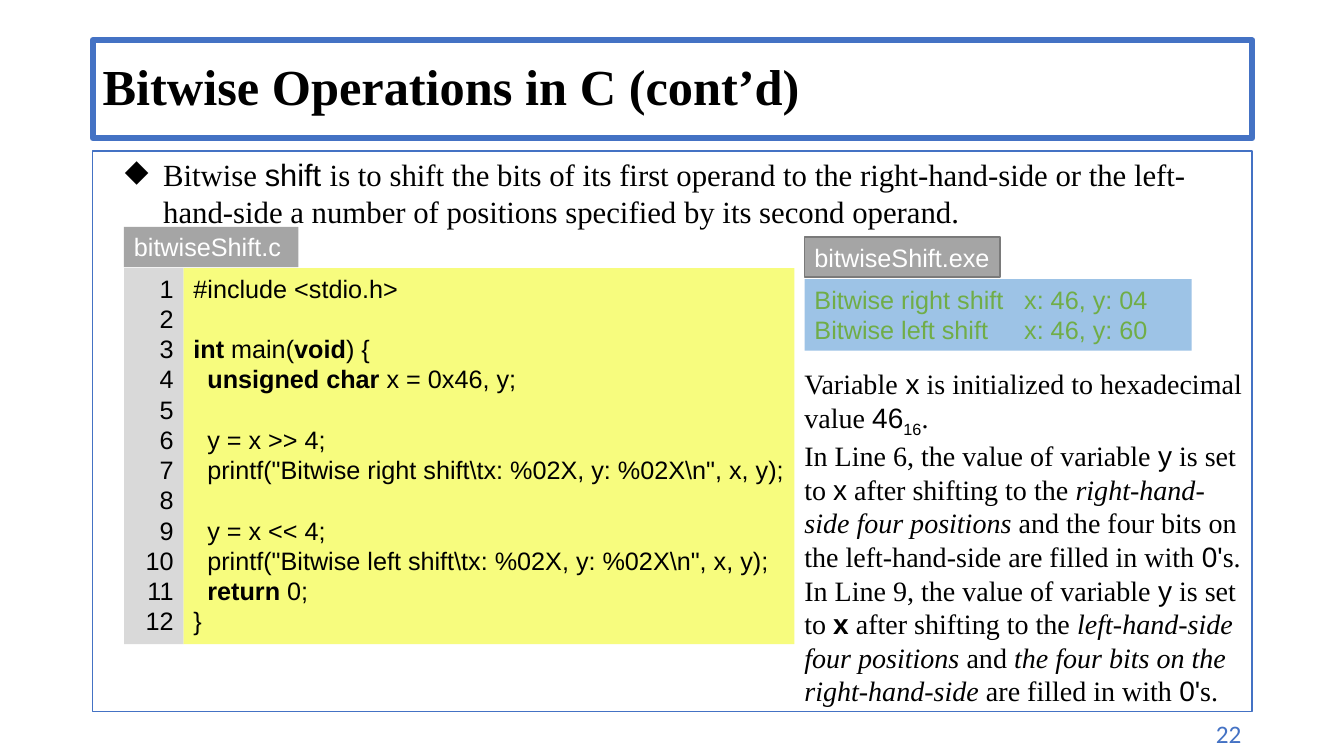
from lxml.etree import SubElement
from pptx import Presentation
from pptx.dml.color import RGBColor
from pptx.enum.shapes import MSO_SHAPE
from pptx.enum.text import MSO_ANCHOR, PP_ALIGN
from pptx.oxml.ns import qn
from pptx.util import Inches, Pt

SERIF, SANS = "Times New Roman", "Arial"
COLORS = {
    "black": "000000", "white": "FFFFFF", "blue": "4472C4", "sky": "9DC3E6",
    "green": "70AD47", "gray": "A5A5A5", "edge": "7A7A7A",
    "yellow": "F7FC7E", "silver": "D9D9D9",
}

# Content: a paragraph is a list of (text, style) runs
# Styles: a = sans face, b = bold, i = italic, s = subscript
TITLE = [[("Bitwise Operations in C (cont’d)", "b")]]
INTRO = [[
    ("Bitwise ", ""), ("shift ", "a"),
    ("is to shift the bits of its first operand to the right-hand-side or the "
     "left-hand-side a number of positions specified by its second operand.", ""),
]]
CODE = [
    [("#include <stdio.h>", "")],
    [],
    [("int ", "b"), ("main(", ""), ("void", "b"), (") {", "")],
    [("  ", ""), ("unsigned char ", "b"), ("x = 0x46, y;", "")],
    [],
    [("  y = x >> 4;", "")],
    [("  printf(\"Bitwise right shift\\tx: %02X, y: %02X\\n\", x, y);", "")],
    [],
    [("  y = x << 4;", "")],
    [("  printf(\"Bitwise left shift\\tx: %02X, y: %02X\\n\", x, y);", "")],
    [("  ", ""), ("return ", "b"), ("0;", "")],
    [("}", "")],
]
NUMBERS = [[(str(n), "")] for n in range(1, len(CODE) + 1)]
OUTPUT = [
    [("Bitwise right shift\tx: 46, y: 04", "")],
    [("Bitwise left shift\tx: 46, y: 60", "")],
]
NOTES = [
    [("Variable", ""), (" x", "a"), (" is initialized to hexadecimal value ", ""),
     ("46", "a"), ("16", "as"), (".", "")],
    [("In Line 6, the value of variable ", ""), ("y", "a"), (" is set to ", ""),
     ("x", "a"), (" after shifting to the ", ""),
     ("right-hand-side four positions", "i"),
     (" and the four bits on the left-hand-side are filled in with ", ""),
     ("0'", "a"), ("s. In Line 9, the value of variable ", ""), ("y", "a"),
     (" is set to ", ""), ("x", "ab"), (" after shifting to the ", ""),
     ("left-hand-side four positions", "i"), (" and ", ""),
     ("the four bits on the right-hand-side", "i"),
     (" are filled in with ", ""), ("0'", "a"), ("s.", "")],
]

deck = Presentation()
deck.slide_width, deck.slide_height = Inches(13.33), Inches(7.5)
slide = deck.slides.add_slide(deck.slide_layouts[6])


def rgb(name):
    return RGBColor.from_string(COLORS[name])


def box(text, at, size=18, face=SANS, color="black", fill=None, line=None,
        weight=1, wrap=True, align=PP_ALIGN.LEFT, anchor=MSO_ANCHOR.TOP,
        space=None, bullet=None, tab=None):
    """Draw a text block, with a filled or outlined rectangle if asked."""
    place = [Inches(v) for v in at]
    if fill or line:
        shape = slide.shapes.add_shape(MSO_SHAPE.RECTANGLE, *place)
        shape.shadow.inherit = False
    else:
        shape = slide.shapes.add_textbox(*place)
    if fill:
        shape.fill.solid()
        shape.fill.fore_color.rgb = rgb(fill)
    else:
        shape.fill.background()
    if line:
        shape.line.color.rgb = rgb(line)
        shape.line.width = Pt(weight)
    else:
        shape.line.fill.background()

    frame = shape.text_frame
    frame.word_wrap = wrap
    frame.vertical_anchor = anchor
    for row, runs in enumerate(text):
        para = frame.add_paragraph() if row else frame.paragraphs[0]
        para.alignment = align
        if space:
            para.line_spacing = space
        props = para._p.get_or_add_pPr()
        if bullet:
            props.set("marL", str(Inches(0.6)))
            props.set("indent", str(Inches(-0.38)))
            SubElement(props, qn("a:buChar"), char=bullet)
        if tab:
            stops = SubElement(props, qn("a:tabLst"))
            SubElement(stops, qn("a:tab"), pos=str(Inches(tab)), algn="l")
        for words, style in runs:
            run = para.add_run()
            run.text = words
            font = run.font
            font.size, font.color.rgb = Pt(size), rgb(color)
            font.name = SANS if "a" in style else face
            font.bold, font.italic = "b" in style, "i" in style
            if "s" in style:
                run._r.get_or_add_rPr().set("baseline", "-25000")
        if not runs:  # blank code line keeps the code height
            end = SubElement(para._p, qn("a:endParaRPr"), sz=str(size * 100))
            SubElement(end, qn("a:latin"), typeface=face)


# Page frame
LEFT, WIDTH = 0.92, 11.5
box([[("22", "")]], (10.84, 7.08, 1.57, 0.4), face="Calibri", color="blue",
    align=PP_ALIGN.RIGHT)
box(TITLE, (LEFT, 0.4, WIDTH, 0.97), size=36, face=SERIF, line="blue",
    weight=4.5, anchor=MSO_ANCHOR.MIDDLE, space=0.9)
box(INTRO, (LEFT, 1.5, WIDTH, 5.56), size=22, face=SERIF, line="blue",
    bullet="◆")

# Program output
OUT = 7.98
box(OUTPUT, (OUT, 2.77, 3.84, 0.71), color="green", fill="sky", wrap=False,
    tab=2.08)
box([[("bitwiseShift.exe", "")]], (OUT, 2.35, 1.94, 0.4), color="white",
    fill="gray", line="edge", wrap=False)

# Source listing
SRC, TOP, TALL, GUTTER = 1.23, 2.66, 3.73, 0.59
box([[("bitwiseShift.c", "")]], (SRC, 2.25, 1.73, 0.4), color="white",
    fill="gray", wrap=False)
box(CODE, (SRC + GUTTER, TOP, 6.06, TALL), fill="yellow", wrap=False)
box(NUMBERS, (SRC, TOP, GUTTER, TALL), fill="silver", align=PP_ALIGN.RIGHT)

# Explanation
box(NOTES, (7.88, 3.59, 4.57, 3.47), size=20, face=SERIF)

deck.save("out.pptx")
